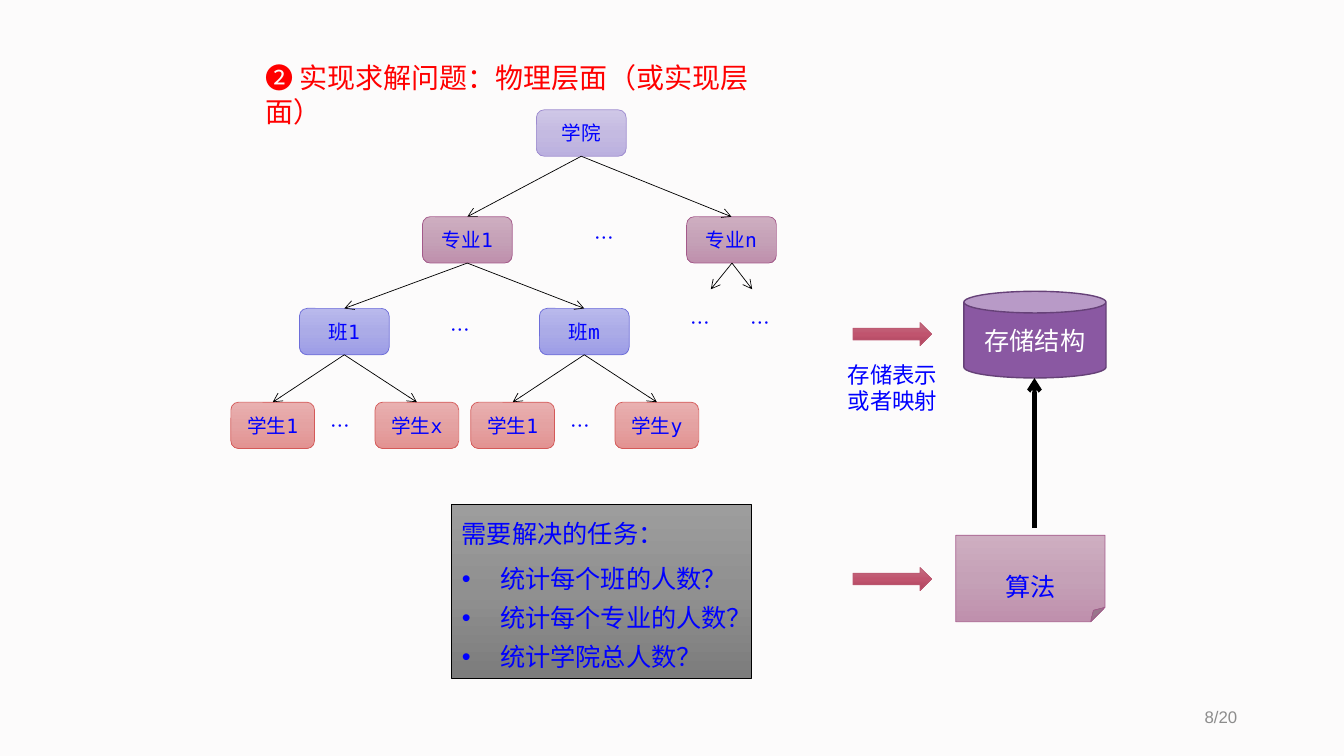
from copy import deepcopy

from lxml import etree
from pptx import Presentation
from pptx.dml.color import RGBColor
from pptx.enum.shapes import MSO_CONNECTOR, MSO_SHAPE
from pptx.enum.text import MSO_ANCHOR, MSO_AUTO_SIZE, PP_ALIGN
from pptx.oxml.ns import qn
from pptx.util import Inches, Pt

ROUND, CAN, NOTE, ARROW = (MSO_SHAPE.ROUNDED_RECTANGLE, MSO_SHAPE.CAN,
                           MSO_SHAPE.FOLDED_CORNER, MSO_SHAPE.RIGHT_ARROW)
STRAIGHT = MSO_CONNECTOR.STRAIGHT
LEFT, CENTER, RIGHT = PP_ALIGN.LEFT, PP_ALIGN.CENTER, PP_ALIGN.RIGHT
TOP, MIDDLE = MSO_ANCHOR.TOP, MSO_ANCHOR.MIDDLE
NO_FIT = MSO_AUTO_SIZE.NONE
CJK, MONO, SANS = "Noto Sans CJK SC", "DejaVu Sans Mono", "Arial"
BLUE, RED, BLACK, WHITE = "0000FF", "FF0000", "000000", "FFFFFF"
BACKGROUND, GREY = "FCFBFB", "8C8C8C"
LILAC = ("CFC7E7", "C4BAE1", "BBB0DF"), "9D8BCF"
MAUVE = ("CEAEC1", "C5A1B7", "BF90AD"), "A3598A"
INDIGO = ("B9B9EC", "ABABE7", "9D9DE7"), "6D6DD9"
ROSE = ("E9B0B0", "E4A2A2", "E39291"), "D45958"
CRIMSON = ("C36F82", "C0546E", "B0455F"), "BB5971"
STEEL = ("9D9D9D", "909090", "7C7C7C"), BLACK
PURPLE = ("8A58A2",), "664178"

LEVELS = [(1.09, 0.89, LILAC), (2.15, 0.89, MAUVE),
          (3.06, 0.89, INDIGO), (3.99, 0.83, ROSE)]
NODES = [("学院", 0, 5.32, None),
         ("专业1", 1, 4.19, 0), ("专业n", 1, 6.81, 0),
         ("班1", 2, 2.97, 1), ("班m", 2, 5.35, 1),
         ("学生1", 3, 2.29, 3), ("学生x", 3, 3.72, 3),
         ("学生1", 3, 4.67, 4), ("学生y", 3, 6.1, 4)]
DOTS = [(5.8, 2.19), (4.37, 3.11), (6.75, 3.04), (7.34, 3.04),
        (3.18, 4.06), (5.56, 4.06)]
TASKS = [("统计每个班的人数？", 1.5), ("统计每个专业的人数？", Pt(28)),
         ("统计学院总人数？", Pt(28))]


def rgb(color):
    """Turn a hex string into a colour."""
    return RGBColor.from_string(color)


class Diagram:
    """Draw styled elements on the current slide."""

    def __init__(self, prs):
        """Add a slide with title and body placeholders."""
        self.s = prs.slides.add_slide(prs.slide_layouts[1])
        self.s.background.fill.solid()
        self.s.background.fill.fore_color.rgb = rgb(BACKGROUND)

    def text(self, p, text, size=14, color=BLUE, font=CJK, align=LEFT, spacing=1.0):
        """Write one formatted run into a paragraph."""
        p.alignment = align
        p.line_spacing = spacing
        p.space_before = Pt(0)
        r = p.add_run()
        r.text = text
        r.font.size = Pt(size)
        r.font.name = font
        r.font.color.rgb = rgb(color)
        etree.SubElement(r.font._element, qn("a:ea"), typeface=CJK)

    def frame(self, sp, anchor=TOP):
        """Set wrapping and anchoring of a shape's text."""
        tf = sp.text_frame
        tf.word_wrap = True
        tf.auto_size = NO_FIT
        tf.vertical_anchor = anchor
        return tf

    def place(self, sp, x, y, w, h):
        """Move and size a placeholder."""
        sp.left, sp.top, sp.width, sp.height = map(Inches, (x, y, w, h))

    def paint(self, sp, style, width=0.5):
        """Give a shape its solid or gradient fill and its outline."""
        colors, line = style
        if len(colors) == 1:
            sp.fill.solid()
            sp.fill.fore_color.rgb = rgb(colors[0])
        else:
            sp.fill.gradient()
            sp.fill.gradient_angle = 270
            stops = sp._element.spPr.find(".//" + qn("a:gsLst"))
            stops.append(deepcopy(stops[0]))
            for i, stop in enumerate(sp.fill.gradient_stops):
                stop.position = i / 2
                stop.color.rgb = rgb(colors[i])
        sp.line.color.rgb = rgb(line)
        sp.line.width = Pt(width)

    def title(self, text, box):
        """Fill the title placeholder."""
        sp = self.s.shapes.title
        self.place(sp, *box)
        self.text(self.frame(sp).paragraphs[0], text, size=20, color=RED)

    def tasks(self, heading, items, box):
        """Fill the body placeholder with a heading and a bulleted list."""
        sp = self.s.placeholders[1]
        self.place(sp, *box)
        self.paint(sp, STEEL)
        tf = self.frame(sp)
        p = tf.paragraphs[0]
        self.text(p, heading, size=18, spacing=Pt(28))
        self.bullet(p, "buNone", 0)
        for item, spacing in items:
            p = tf.add_paragraph()
            self.text(p, item, size=18, spacing=spacing)
            self.bullet(p, "buChar", 0.38, char="•")

    def bullet(self, p, kind, indent, **attrs):
        """Set a paragraph's bullet and hanging indent."""
        pPr = p._p.get_or_add_pPr()
        pPr.set("marL", str(Inches(indent)))
        pPr.set("indent", str(-Inches(indent)))
        if attrs:
            etree.SubElement(pPr, qn("a:buFont"), typeface=SANS)
        etree.SubElement(pPr, qn("a:" + kind), **attrs)

    def label(self, text, box, anchor=TOP, **fmt):
        """Add a text box."""
        sp = self.s.shapes.add_textbox(*map(Inches, box))
        self.text(self.frame(sp, anchor).paragraphs[0], text, **fmt)

    def shape(self, kind, box, style, text="", width=0.5, **fmt):
        """Add a preset shape with optional centred text."""
        sp = self.s.shapes.add_shape(kind, *map(Inches, box))
        sp.shadow.inherit = False
        self.paint(sp, style, width)
        if text:
            tf = self.frame(sp, MIDDLE)
            self.text(tf.paragraphs[0], text, align=CENTER, **fmt)
        return sp

    def arrow(self, x1=0, y1=0, x2=0, y2=0, start=None, end=None, width=0.5):
        """Add an arrow between points or glued to shapes."""
        cx = self.s.shapes.add_connector(STRAIGHT, *map(Inches, (x1, y1, x2, y2)))
        if start is not None:
            cx.begin_connect(start, 2)
        if end is not None:
            cx.end_connect(end, 0)
        cx.line.color.rgb = rgb(BLACK)
        cx.line.width = Pt(width)
        etree.SubElement(cx.line._get_or_add_ln(), qn("a:tailEnd"), type="arrow")
        etree.SubElement(cx._element.spPr, qn("a:effectLst"))

    def tree(self):
        """Draw the hierarchy with its arrows and ellipses."""
        nodes = []
        for text, level, x, parent in NODES:
            y, w, style = LEVELS[level]
            font = MONO if text[-1].isascii() else CJK
            nodes.append(self.shape(ROUND, (x, y, w, 0.46), style, text, font=font))
            if parent is not None:
                self.arrow(start=nodes[parent], end=nodes[-1])
        for x in (7.05, 7.46):
            self.arrow(7.26, 2.61, x, 2.87)
        for x, y in DOTS:
            self.label("…", (x, y, 0.42, 0.34))


def main():
    """Build the slide and save it."""
    prs = Presentation()
    prs.slide_width, prs.slide_height = Inches(13.33), Inches(7.5)
    d = Diagram(prs)
    d.title("❷ 实现求解问题：物理层面（或实现层面）", (2.53, 0.55, 5.55, 0.44))
    d.tree()
    d.shape(CAN, (9.56, 2.89, 1.41, 0.86), PURPLE, "存储结构", width=1,
            size=18, color=WHITE)
    for y in (3.2, 5.63):
        d.shape(ARROW, (8.46, y, 0.78, 0.23), CRIMSON)
    d.label("存储表示或者映射", (8.31, 3.53, 1.25, 0.64), size=16)
    d.tasks("需要解决的任务：", TASKS, (4.48, 5, 2.97, 1.73))
    d.shape(NOTE, (9.48, 5.31, 1.48, 0.86), MAUVE, "算法", size=18, spacing=2.0)
    d.arrow(10.26, 5.24, 10.26, 3.75, width=3)
    d.label("8/20", (9.42, 6.94, 2.95, 0.35), anchor=MIDDLE, size=12,
            color=GREY, font=SANS, align=RIGHT)
    prs.save("out.pptx")


if __name__ == "__main__":
    main()
